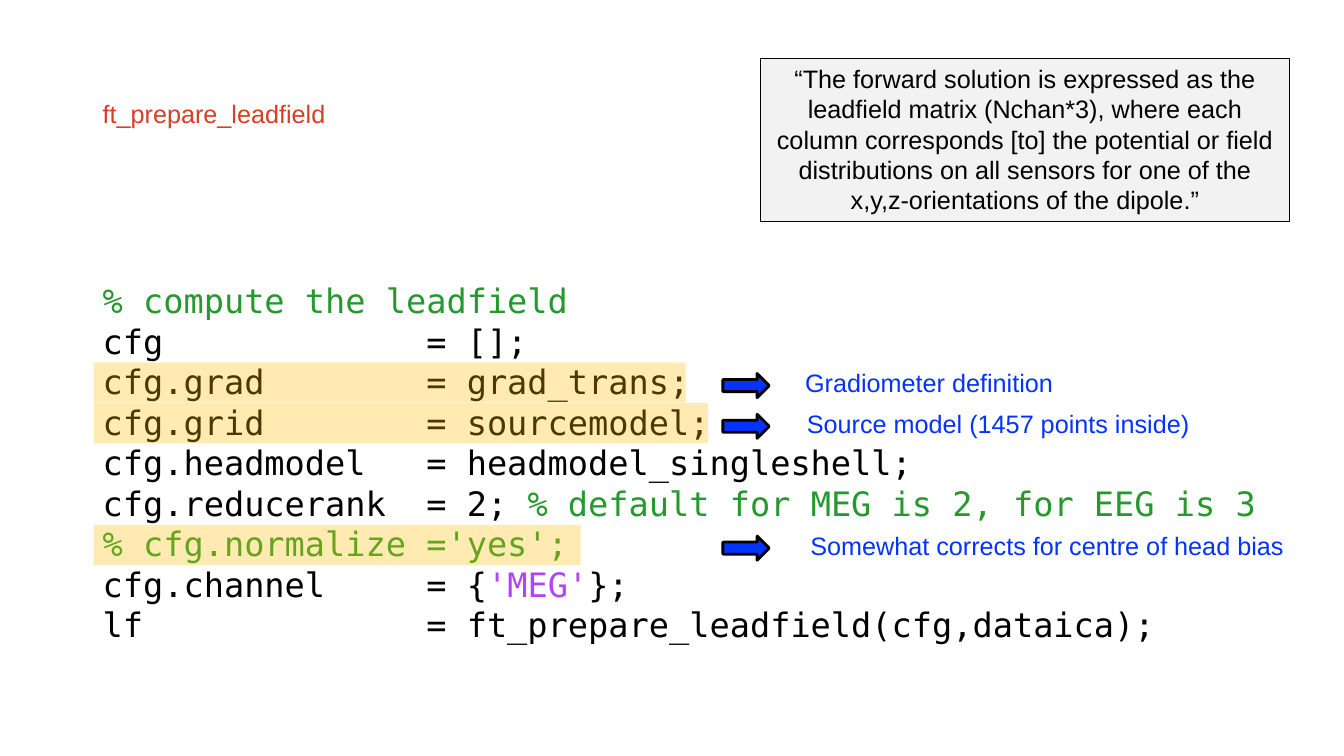
from pptx import Presentation
from pptx.dml.color import RGBColor
from pptx.enum.shapes import MSO_SHAPE
from pptx.enum.text import MSO_ANCHOR, PP_ALIGN
from pptx.oxml.ns import qn
from pptx.util import Inches, Pt
from lxml import etree

RECT, ARROW = MSO_SHAPE.RECTANGLE, MSO_SHAPE.RIGHT_ARROW
TOP, MIDDLE = MSO_ANCHOR.TOP, MSO_ANCHOR.MIDDLE
LEFT, CENTER = PP_ALIGN.LEFT, PP_ALIGN.CENTER

CELL = 0.1
FIRST, PITCH = 27.9, 4.03
EQUALS = 16

BLACK, GREEN, PURPLE = "000000", "25992D", "B245F3"
BLUE, RED, AMBER, GREY = "0432FF", "D63E25", "FFC000", "F2F2F2"

CODE = [
    [("% compute the leadfield", GREEN)],
    [("cfg", BLACK), ("= [];", BLACK)],
    [("cfg.grad", BLACK), ("= grad_trans;", BLACK)],
    [("cfg.grid", BLACK), ("= sourcemodel;", BLACK)],
    [("cfg.headmodel", BLACK), ("= headmodel_singleshell;", BLACK)],
    [("cfg.reducerank", BLACK), ("= 2; ", BLACK),
     ("% default for MEG is 2, for EEG is 3", GREEN)],
    [("% cfg.normalize", GREEN), ("='yes';", GREEN)],
    [("cfg.channel", BLACK), ("= {", BLACK), ("'MEG'", PURPLE), ("};", BLACK)],
    [("lf", BLACK), ("= ft_prepare_leadfield(cfg,dataica);", BLACK)],
]

NOTES = [
    (2, 58.7, "Gradiometer definition", 76, 32.3),
    (3, 60.9, "Source model (1457 points inside)", 75.7, 46.6),
    (6, 48.3, "Somewhat corrects for centre of head bias", 77, 53.7),
]

QUOTE = ("“The forward solution is expressed as the leadfield matrix (Nchan*3), "
         "where each column corresponds [to] the potential or field distributions "
         "on all sensors for one of the x,y,z-orientations of the dipole.”")


def rgb(code):
    return RGBColor.from_string(code)


def place(*cells):
    return [Inches(n * CELL) for n in cells]


def add_form(slide, kind, box, fill, line=None, width=0):
    form = slide.shapes.add_shape(kind, *place(*box))
    form.shadow.inherit = False
    form.fill.solid()
    form.fill.fore_color.rgb = rgb(fill)
    if line:
        form.line.color.rgb = rgb(line)
        form.line.width = Pt(width)
    else:
        form.line.fill.background()
    return form


def write(shape, text, color, align, anchor):
    frame = shape.text_frame
    frame.word_wrap = True
    frame.vertical_anchor = anchor
    para = frame.paragraphs[0]
    para.text = text
    para.alignment = align
    para.font.name = "Arial"
    para.font.size = Pt(18)
    para.font.color.rgb = rgb(color)


def add_label(slide, box, text, color, align):
    label = slide.shapes.add_textbox(*place(*box))
    write(label, text, color, align, MIDDLE)


def add_code(slide, box):
    frame = slide.shapes.add_textbox(*place(*box)).text_frame
    frame.word_wrap = True
    for row, parts in enumerate(CODE):
        para = frame.add_paragraph() if row else frame.paragraphs[0]
        para.line_spacing = Pt(28.9)
        para.font.name = "DejaVu Sans Mono"
        para.font.size = Pt(24)
        for spot, (text, color) in enumerate(parts):
            run = para.add_run()
            run.text = text if spot else text.ljust(EQUALS)
            run.font.color.rgb = rgb(color)


def add_band(slide, box):
    band = add_form(slide, RECT, box, AMBER)
    tint = band.fill._xPr.find(qn("a:solidFill"))[0]
    etree.SubElement(tint, qn("a:alpha"), val="30000")


def add_note(slide, row, span, text, left, width):
    top = FIRST + row * PITCH
    add_label(slide, (left, top, width, 4), text, BLUE, CENTER)
    add_form(slide, ARROW, (71.7, top + 1.1, 4.6, 2.4), BLUE, BLACK, 2)
    add_band(slide, (9.3, top, span, 4))


def main():
    deck = Presentation()
    deck.slide_width, deck.slide_height = Inches(13.33), Inches(7.5)
    slide = deck.slides.add_slide(deck.slide_layouts[6])
    add_code(slide, (9.2, 27.3, 118.7, 37.4))
    add_label(slide, (9.2, 4, 115, 14.5), "ft_prepare_leadfield", RED, LEFT)
    for note in NOTES:
        add_note(slide, *note)
    quote = add_form(slide, RECT, (75.4, 5.8, 52.5, 16.2), GREY, BLACK, 0.75)
    write(quote, QUOTE, BLACK, CENTER, TOP)
    deck.save("out.pptx")


if __name__ == "__main__":
    main()
